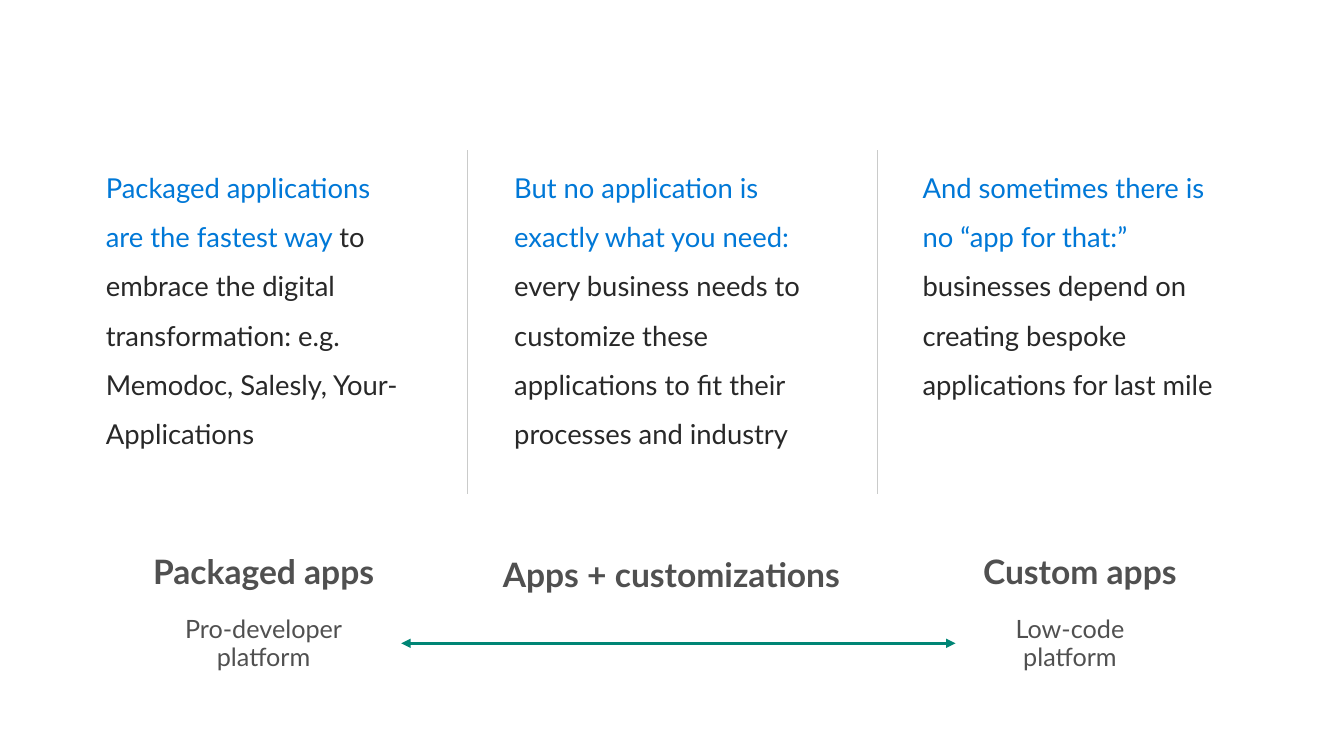
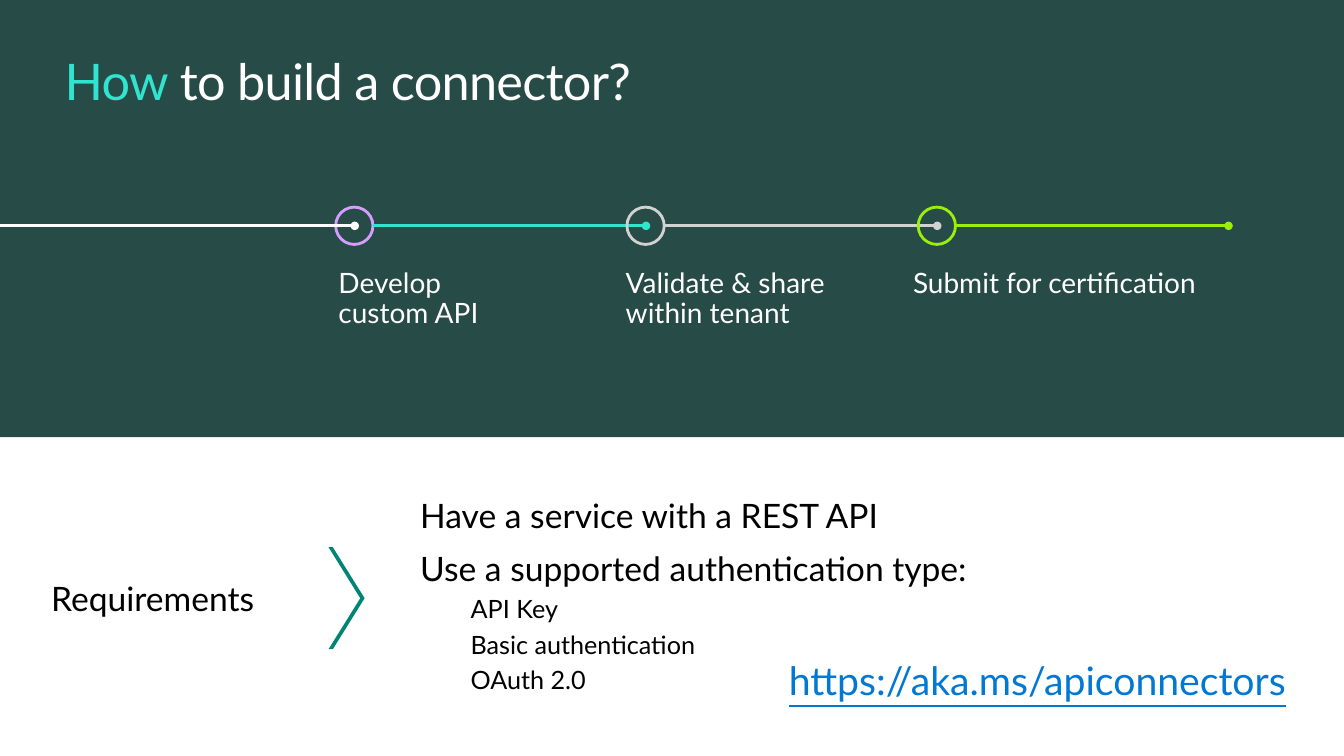
import pptx
import pptx.util
import pptx.dml.color
import pptx.enum.shapes
import pptx.enum.text
import pptx.oxml.ns
import lxml.etree

Cm = pptx.util.Cm
Pt = pptx.util.Pt
SHAPE = pptx.enum.shapes.MSO_SHAPE
ALIGN = pptx.enum.text.PP_ALIGN
ANCHOR = pptx.enum.text.MSO_ANCHOR

FONT = "Lato"
WHITE, BLACK, DARK, GRAY = "FFFFFF", "000000", "282828", "505050"
BLUE, LINK, TEAL, MINT = "0078D7", "0078D4", "008575", "30E5D0"
GREEN, RULE = "274B47", "CACBCA"
WIDE, HIGH = 33.87, 19.05
NONE = (0, 0, 0, 0)
PAD = (0.51, 0.41, 0.51, 0.41)
SLIM = (0.25, 0.08, 0.08, 0.08)
PLAIN = (0.25, 0.13, 0.25, 0.13)

COLUMNS = [
    ("Packaged applications\nare the fastest way ",
     "to embrace the digital transformation: e.g. Memodoc, Salesly, Your-Applications"),
    ("But no application is exactly what you need: ",
     "every business needs to customize these applications to fit their processes and industry"),
    ("And sometimes there is no “app for that:”",
     " businesses depend on creating bespoke applications for last mile"),
]
RULES = [11.79, 22.12]
LABELS = [
    ("Packaged apps", 24, True, (2.67, 13.59, 7.95, 1.75)),
    ("Apps + customizations", 24, True, (11.13, 13.67, 11.58, 1.75)),
    ("Custom apps", 24, True, (23.24, 13.59, 7.95, 1.75)),
    ("Pro-developer\nplatform", 18, False, (2.67, 15.14, 7.95, 2.21)),
    ("Low-code\nplatform", 18, False, (22.99, 15.14, 7.95, 2.21)),
]
STEPS = [
    ("Develop\ncustom API", 5.74, "D59DFF", MINT),
    ("Validate & share within tenant", 6.5, "D2D2D2", "D2D2D2"),
    ("Submit for certification", 10.36, "9BF00B", "9BF00B"),
]
NEEDS = [
    ("Have a service with a REST API", 0),
    ("Use a supported authentication type:", 0),
    ("API Key", 1),
    ("Basic authentication", 1),
    ("OAuth 2.0", 1),
]
LEVELS = [(24, 12, 0), (18, 5.9, 1.27)]


def paint(code):
    return pptx.dml.color.RGBColor.from_string(code)


def add_tag(parent, name, **attrs):
    return lxml.etree.SubElement(parent, pptx.oxml.ns.qn("a:" + name), **attrs)


def place(shape, box):
    shape.left, shape.top, shape.width, shape.height = map(Cm, box)


def set_frame(shape, pad, anchor=ANCHOR.TOP):
    frame = shape.text_frame
    frame.word_wrap = True
    frame.auto_size = pptx.enum.text.MSO_AUTO_SIZE.NONE
    frame.vertical_anchor = anchor
    (frame.margin_left, frame.margin_top,
     frame.margin_right, frame.margin_bottom) = map(Cm, pad)
    return frame


def add_runs(para, runs, size, bold=False, line=False, space=None):
    for text, color in runs:
        for i, part in enumerate(text.split("\n")):
            if i:
                para.add_line_break()
            run = para.add_run()
            run.text = part
            font = run.font
            font.name, font.size, font.bold = FONT, Pt(size), bold
            font.underline = line
            font.color.rgb = paint(color)
            if space is not None:
                run._r.get_or_add_rPr().set("spc", str(space))


def add_text(slide, box, runs, size, pad=PLAIN, lead=1, align=ALIGN.LEFT,
             anchor=ANCHOR.TOP, bold=False, line=False):
    shape = slide.shapes.add_textbox(*map(Cm, box))
    para = set_frame(shape, pad, anchor).paragraphs[0]
    para.alignment, para.line_spacing = align, lead
    add_runs(para, runs, size, bold, line)


def add_shape(slide, kind, box, fill=None, line=None):
    shape = slide.shapes.add_shape(kind, *map(Cm, box))
    shape.shadow.inherit = False
    if fill:
        shape.fill.solid()
        shape.fill.fore_color.rgb = paint(fill)
    else:
        shape.fill.background()
    if line:
        shape.line.color.rgb = paint(line)
        shape.line.width = Pt(2)
    else:
        shape.line.fill.background()
    return shape


def add_line(slide, ends, color, width, head=None, tail=None):
    kind = pptx.enum.shapes.MSO_CONNECTOR.STRAIGHT
    rule = slide.shapes.add_connector(kind, *map(Cm, ends))
    rule.line.color.rgb = paint(color)
    rule.line.width = Pt(width)
    stroke = rule.line._get_or_add_ln()
    for name, tip in (("headEnd", head), ("tailEnd", tail)):
        if tip:
            add_tag(stroke, name, type=tip)
    add_tag(rule._element.spPr, "effectLst")


def build_apps(deck):
    slide = deck.slides.add_slide(deck.slide_layouts[6])
    for i, (lead, rest) in enumerate(COLUMNS):
        add_text(slide, (2.67 + 10.29 * i, 3.89, 7.95, 7.39),
                 [(lead, BLUE), (rest, DARK)], 19.6, NONE, 1.5)
    for x in RULES:
        add_line(slide, (x, 3.78, x, 12.45), RULE, 0.75)
    for text, size, bold, box in LABELS:
        add_text(slide, box, [(text, GRAY)], size, PAD, 0.9, ALIGN.CENTER, bold=bold)
    add_line(slide, (10.11, 16.21, 24.08, 16.21), TEAL, 2.25, "triangle", "triangle")


def build_steps(deck):
    slide = deck.slides.add_slide(deck.slide_layouts[1])
    band = add_shape(slide, SHAPE.RECTANGLE, (0, 0, WIDE, 11.02), GREEN)
    slide.shapes._spTree.insert(2, band._element)

    title = slide.shapes.title
    place(title, (1.63, 1.27, 30.61, 1.55))
    para = set_frame(title, NONE).paragraphs[0]
    para.alignment = ALIGN.LEFT
    add_runs(para, [("How ", MINT), ("to build a connector?", WHITE)], 36, space=-50)

    body = slide.placeholders[1]
    place(body, (10.08, 12.17, 16.46, 5.82))
    frame = set_frame(body, PAD)
    for i, (text, level) in enumerate(NEEDS):
        para = frame.add_paragraph() if i else frame.paragraphs[0]
        size, gap, indent = LEVELS[level]
        props = para._p.get_or_add_pPr()
        props.set("marL", str(Cm(indent)))
        props.set("indent", "0")
        add_tag(props, "buNone")
        para.level, para.line_spacing = level, 0.9
        para.space_before = Pt(gap if i else 0)
        add_runs(para, [(text, BLACK)], size)

    add_text(slide, (1.04, 12.17, 5.87, 5.82), [("Requirements", BLACK)], 24,
             anchor=ANCHOR.MIDDLE)
    arrow = add_shape(slide, SHAPE.CHEVRON, (8.28, 13.79, 0.91, 2.57), TEAL)
    arrow.adjustments[0] = 0.88
    add_text(slide, (19.63, 15.82, 13.49, 1.83),
             [("https://aka.ms/apiconnectors", LINK)], 28, lead=1.5, line=True)

    mid, size = 5.69, 0.94
    for i, (text, width, ring, color) in enumerate(STEPS):
        x = 8.46 + 7.34 * i
        add_text(slide, (8.28 + 7.24 * i, 6.71, width, 1.73),
                 [(text, WHITE)], 20, SLIM, 0.9)
        add_shape(slide, SHAPE.OVAL, (x, mid - size / 2, size, size), line=ring)
        add_line(slide, (x + size, mid, x + size + 6.88, mid), color, 2, tail="oval")
    add_line(slide, (0, mid, 8.94, mid), WHITE, 2, tail="oval")


def main():
    deck = pptx.Presentation()
    deck.slide_width, deck.slide_height = Cm(WIDE), Cm(HIGH)
    build_apps(deck)
    build_steps(deck)
    deck.save("out.pptx")


if __name__ == "__main__":
    main()
